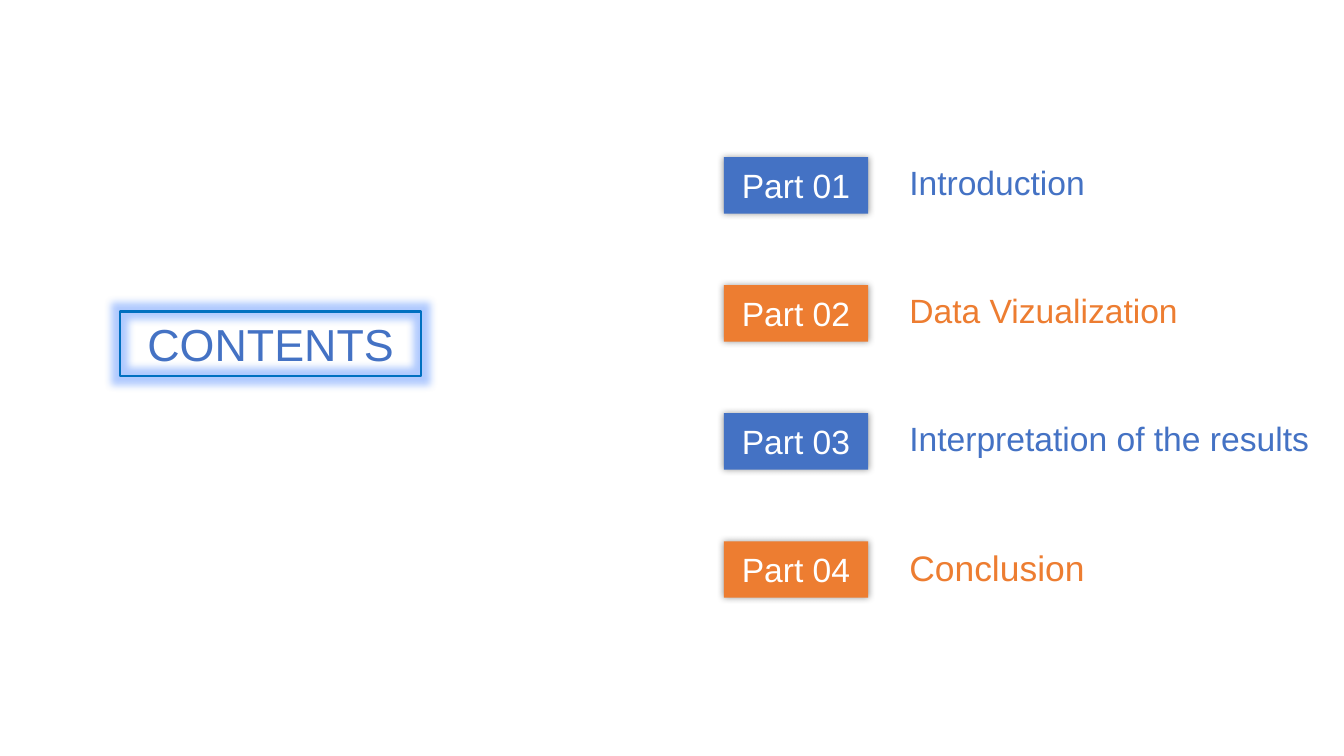
from dataclasses import dataclass

import lxml.etree
import pptx
import pptx.dml.color
import pptx.enum.shapes
import pptx.enum.text
import pptx.oxml.ns
import pptx.util

Inches = pptx.util.Inches
Pt = pptx.util.Pt
RGB = pptx.dml.color.RGBColor


@dataclass(frozen=True)
class Theme:
    font: str = "Arial"
    blue: str = "4472C4"
    orange: str = "ED7D31"
    frame: str = "0070C0"
    glow: str = "3A7BFF"
    shadow: str = "000000"
    white: str = "FFFFFF"
    title_size: float = 32
    body_size: float = 24
    last_size: float = 25.3


@dataclass(frozen=True)
class Part:
    name: str
    width: float
    color: str
    size: float


THEME = Theme()
PARTS = [
    Part("Introduction", 1.96, THEME.blue, THEME.body_size),
    Part("Data Vizualization", 2.89, THEME.orange, THEME.body_size),
    Part("Interpretation of the results", 4.21, THEME.blue, THEME.body_size),
    Part("Conclusion", 1.96, THEME.orange, THEME.last_size),
]
FIRST_TOP, ROW_STEP = 1.56, 1.27


def write(shape, text: str, size: float, color: str, centred: bool) -> None:
    """Put one formatted paragraph into a shape."""
    frame = shape.text_frame
    frame.text = text
    para = frame.paragraphs[0]
    align = pptx.enum.text.PP_ALIGN
    para.alignment = align.CENTER if centred else align.LEFT
    para.font.name = THEME.font
    para.font.size = Pt(size)
    para.font.color.rgb = RGB.from_string(color)


def add_effect(shape, kind: str, color: str, alpha: int, **settings: str) -> None:
    """Replace the inherited effects of a shape with a glow or a shadow."""
    shape.shadow.inherit = False
    qn = pptx.oxml.ns.qn
    effects = shape.element.spPr.find(qn("a:effectLst"))
    effect = lxml.etree.SubElement(effects, qn(f"a:{kind}"), settings)
    tint = lxml.etree.SubElement(effect, qn("a:srgbClr"), val=color)
    lxml.etree.SubElement(tint, qn("a:alpha"), val=str(alpha * 1000))


def format_title(title) -> None:
    title.left, title.top = Inches(1.19), Inches(3.09)
    title.width, title.height = Inches(2.99), Inches(0.64)
    write(title, "CONTENTS", THEME.title_size, THEME.blue, centred=True)
    title.text_frame.auto_size = pptx.enum.text.MSO_AUTO_SIZE.NONE
    title.text_frame.vertical_anchor = pptx.enum.text.MSO_ANCHOR.MIDDLE
    title.line.color.rgb = RGB.from_string(THEME.frame)
    title.line.width = Pt(1.5)
    add_effect(title, "glow", THEME.glow, 40, rad=str(Pt(11)))


def add_part(page, number: int, part: Part) -> None:
    top = Inches(FIRST_TOP + (number - 1) * ROW_STEP)
    # Numbered badge
    badge = page.shapes.add_shape(
        pptx.enum.shapes.MSO_SHAPE.RECTANGLE,
        Inches(7.18), top, Inches(1.43), Inches(0.56))
    badge.fill.solid()
    badge.fill.fore_color.rgb = RGB.from_string(part.color)
    badge.line.fill.background()
    badge.text_frame.vertical_anchor = pptx.enum.text.MSO_ANCHOR.MIDDLE
    write(badge, f"Part {number:02}", THEME.body_size, THEME.white, centred=True)
    add_effect(badge, "outerShdw", THEME.shadow, 40, blurRad=str(Pt(5)),
               dist="0", dir="0", algn="ctr", rotWithShape="0")
    # Part name
    box = page.shapes.add_textbox(
        Inches(8.92), top, Inches(part.width), Inches(0.5))
    box.text_frame.word_wrap = False
    box.text_frame.auto_size = pptx.enum.text.MSO_AUTO_SIZE.SHAPE_TO_FIT_TEXT
    write(box, part.name, part.size, part.color, centred=False)


deck = pptx.Presentation()
deck.slide_width, deck.slide_height = Inches(13.33), Inches(7.5)
page = deck.slides.add_slide(deck.slide_layouts.get_by_name("Title Only"))

format_title(page.shapes.title)
for number, part in enumerate(PARTS, start=1):
    add_part(page, number, part)

deck.save("out.pptx")
